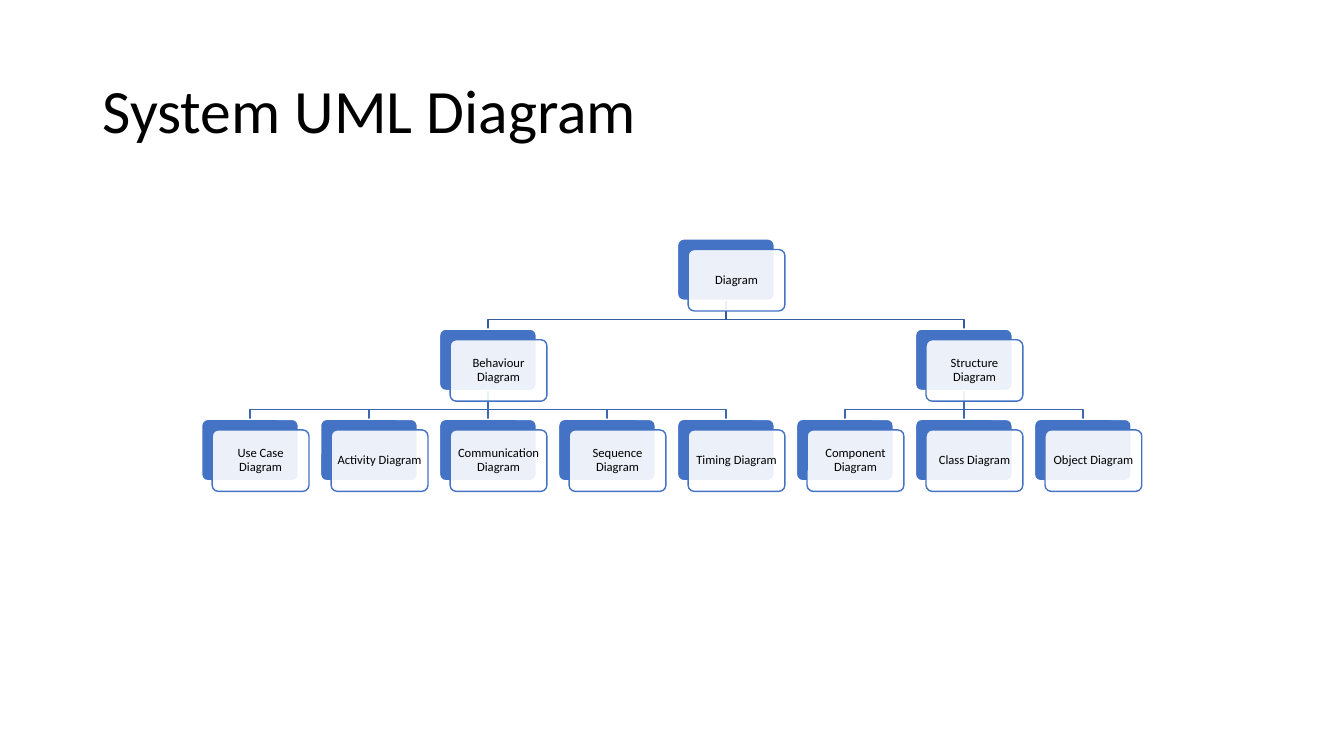
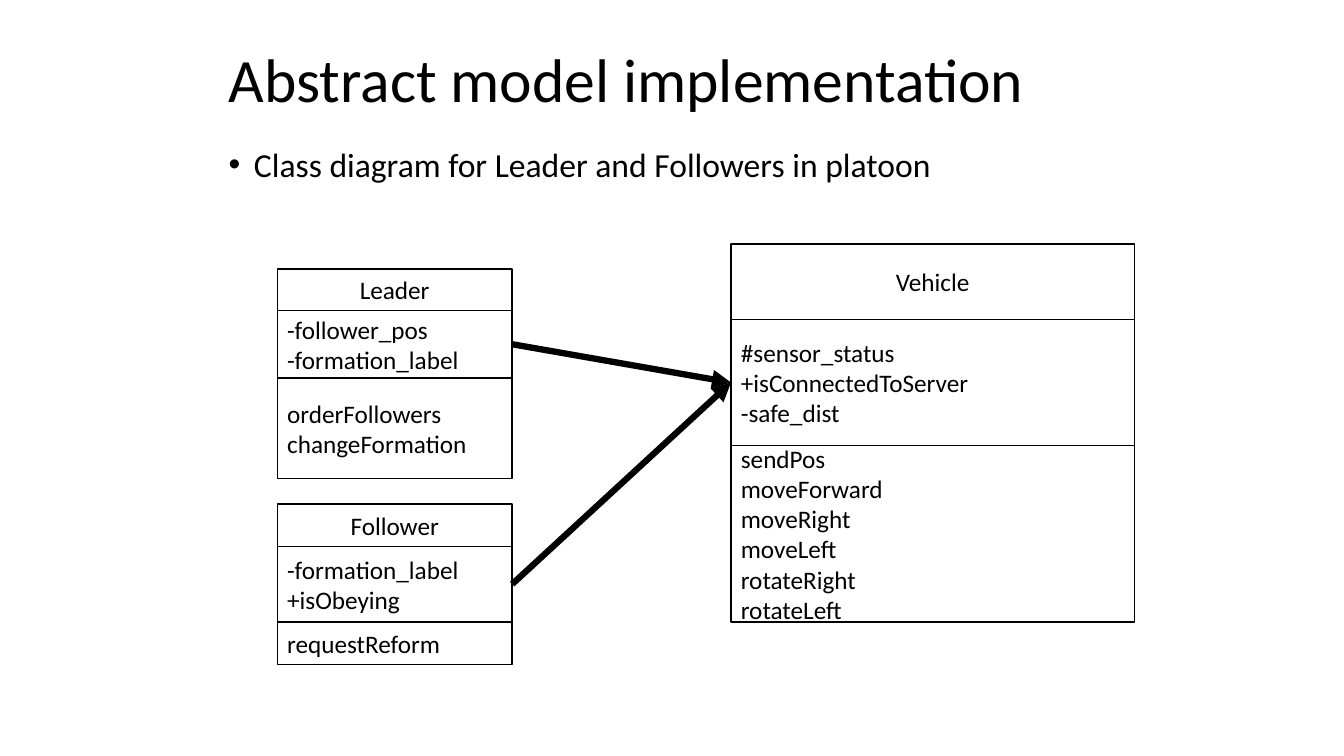
from lxml import etree
from pptx import Presentation
from pptx import util as u
from pptx.dml.color import RGBColor
from pptx.enum import shapes, text
from pptx.oxml.ns import qn

FONT, BLACK, WHITE, BLUE = "Calibri", "000000", "FFFFFF", "4472C4"
LEFT, CENTER = text.PP_ALIGN.LEFT, text.PP_ALIGN.CENTER
MIDDLE, TOP = text.MSO_ANCHOR.MIDDLE, text.MSO_ANCHOR.TOP

UML_TITLE = ("System UML Diagram", (0.92, 0.4, 11.5, 1.45))
UML_TREE = ("Diagram", [
    ("Behaviour Diagram", [
        ("Use Case Diagram", []),
        ("Activity Diagram", []),
        ("Communication Diagram", []),
        ("Sequence Diagram", []),
        ("Timing Diagram", []),
    ]),
    ("Structure Diagram", [
        ("Component Diagram", []),
        ("Class Diagram", []),
        ("Object Diagram", []),
    ]),
])
LINK_COLORS = ["365B9D", "3E67B2"]
TREE_LEFT, TREE_TOP = 2, 2.37
CARD_W, CARD_H, CARD_OFFSET = 0.96, 0.61, 0.105
COLUMN_STEP, LEVEL_STEP, LINK_DROP = 1.18, 0.895, 0.19

MODEL_TITLE = ("Abstract model implementation", (2.17, 0.3, 9, 1.03))
MODEL_POINT = ("Class diagram for Leader and Followers in platoon", (2.17, 1.42, 9.59, 5.28))
CLASSES = {
    "Vehicle": ((7.25, 2.42, 4), [
        (0.75, ["Vehicle"]),
        (1.25, ["#sensor_status", "+isConnectedToServer", "-safe_dist"]),
        (1.75, ["sendPos", "moveForward", "moveRight", "moveLeft", "rotateRight", "rotateLeft"]),
    ]),
    "Leader": ((2.75, 2.67, 2.33), [
        (0.41, ["Leader"]),
        (0.67, ["-follower_pos", "-formation_label"]),
        (1, ["orderFollowers", "changeFormation"]),
    ]),
    "Follower": ((2.75, 5, 2.33), [
        (0.42, ["Follower"]),
        (0.75, ["-formation_label", "+isObeying"]),
        (0.42, ["requestReform"]),
    ]),
}
INHERITANCE = [("Leader", "Vehicle"), ("Follower", "Vehicle")]


def rgb(code):
    return RGBColor.from_string(code)


def inches(*lengths):
    return [u.Inches(length) for length in lengths]


def write(shape, lines, size, align=LEFT, anchor=MIDDLE, spacing=None, inset=None):
    frame = shape.text_frame
    frame.word_wrap = True
    frame.vertical_anchor = anchor
    if inset is not None:
        frame.margin_left = frame.margin_right = u.Inches(inset)
        frame.margin_top = frame.margin_bottom = u.Inches(inset)
    frame.text = "\n".join(lines)
    for paragraph in frame.paragraphs:
        paragraph.alignment = align
        if spacing:
            paragraph.line_spacing = spacing
        for run in paragraph.runs:
            run.font.name = FONT
            run.font.size = u.Pt(size)
            run.font.color.rgb = rgb(BLACK)


def add_text(slide, content, size, anchor=MIDDLE):
    line, place = content
    box = slide.shapes.add_textbox(*inches(*place))
    write(box, [line], size, anchor=anchor, spacing=0.9)
    return box.text_frame.paragraphs[0]


def add_box(slide, kind, place, fill, outline):
    box = slide.shapes.add_shape(kind, *inches(*place))
    box.shadow.inherit = False
    box.fill.solid()
    box.fill.fore_color.rgb = rgb(fill)
    box.line.color.rgb = rgb(outline)
    box.line.width = u.Pt(1)
    return box


def add_line(slide, start, end, color, width):
    line = slide.shapes.add_connector(shapes.MSO_CONNECTOR.STRAIGHT, *inches(*start, *end))
    line.line.color.rgb = rgb(color)
    line.line.width = u.Pt(width)
    etree.SubElement(line._element.spPr, qn("a:effectLst"))
    return line


def place_tree(node, depth, columns, cards, links):
    label, children = node
    y = TREE_TOP + depth * LEVEL_STEP
    if children:
        child_xs = [place_tree(child, depth + 1, columns, cards, links) for child in children]
        x = (child_xs[0] + child_xs[-1]) / 2
        links.extend((depth, x, child_x, y + CARD_H) for child_x in child_xs)
    else:
        x = TREE_LEFT + COLUMN_STEP * next(columns)
    cards.append((label, x, y))
    return x


def add_link(slide, depth, parent_x, child_x, top):
    start, end = parent_x + CARD_W / 2, child_x + CARD_W / 2
    bottom = top + LEVEL_STEP - CARD_H
    color = LINK_COLORS[depth]
    if abs(start - end) < 0.01:
        add_line(slide, (start, top), (start, bottom), color, 1)
        return
    bend = top + LINK_DROP
    builder = slide.shapes.build_freeform(*inches(start, top))
    builder.add_line_segments(
        [inches(start, bend), inches(end, bend), inches(end, bottom)], close=False)
    link = builder.convert_to_shape()
    link.shadow.inherit = False
    link.fill.background()
    link.line.color.rgb = rgb(color)
    link.line.width = u.Pt(1)


def add_card(slide, label, x, y):
    rounded = shapes.MSO_SHAPE.ROUNDED_RECTANGLE
    back = add_box(slide, rounded, (x, y, CARD_W, CARD_H), BLUE, WHITE)
    front = add_box(slide, rounded, (x + CARD_OFFSET, y + CARD_OFFSET, CARD_W, CARD_H), WHITE, BLUE)
    for layer in (back, front):
        layer.adjustments[0] = 0.1
    tint = front._element.spPr.find(qn("a:solidFill"))[0]
    etree.SubElement(tint, qn("a:alpha"), val="90000")
    write(front, [label], 9, CENTER, spacing=0.9, inset=0.02)


def add_class(slide, place, sections):
    x, y, width = place
    for index, (height, members) in enumerate(sections):
        section = add_box(slide, shapes.MSO_SHAPE.RECTANGLE, (x, y, width, height), WHITE, BLACK)
        write(section, members, 18, LEFT if index else CENTER)
        y += height


def attributes_middle(name):
    (x, y, width), sections = CLASSES[name]
    return x, x + width, y + sections[0][0] + sections[1][0] / 2


deck = Presentation()
deck.slide_width, deck.slide_height = inches(13.33, 7.5)
blank = deck.slide_layouts[6]

uml = deck.slides.add_slide(blank)
add_text(uml, UML_TITLE, 44)
cards, links = [], []
place_tree(UML_TREE, 0, iter(range(8)), cards, links)
for link in links:
    add_link(uml, *link)
for card in cards:
    add_card(uml, *card)

model = deck.slides.add_slide(blank)
add_text(model, MODEL_TITLE, 44)
point = add_text(model, MODEL_POINT, 24, TOP)
point.space_before = u.Pt(10)
point_props = point._p.get_or_add_pPr()
point_props.set("marL", str(u.Inches(0.25)))
point_props.set("indent", str(u.Inches(-0.25)))
etree.SubElement(point_props, qn("a:buFont"), typeface="Arial")
etree.SubElement(point_props, qn("a:buChar"), char="•")

for place, sections in CLASSES.values():
    add_class(model, place, sections)
for child, parent in INHERITANCE:
    _, child_right, child_y = attributes_middle(child)
    parent_left, _, parent_y = attributes_middle(parent)
    arrow = add_line(model, (child_right, child_y), (parent_left, parent_y), BLACK, 4.5)
    etree.SubElement(arrow.line._get_or_add_ln(), qn("a:tailEnd"), type="triangle")

deck.save("out.pptx")
